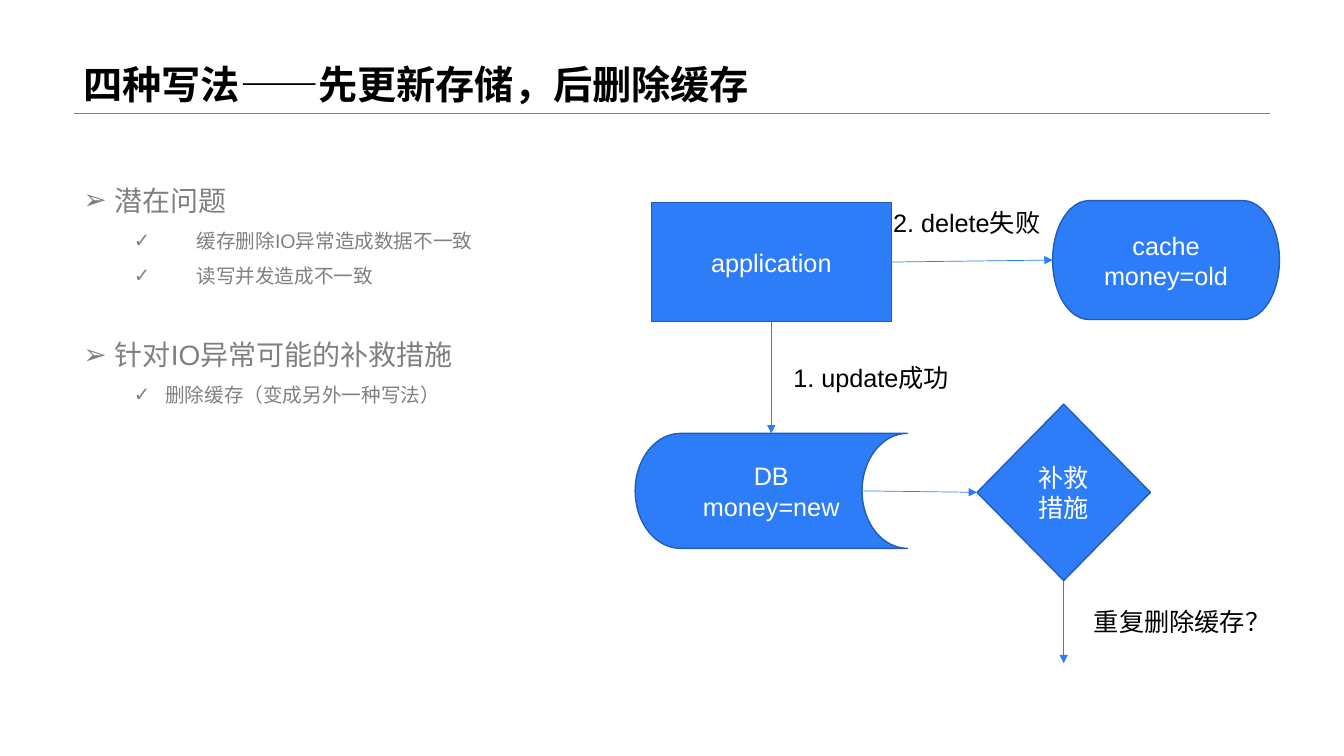
from lxml import etree
from pptx import Presentation
from pptx.dml.color import RGBColor
from pptx.enum import shapes, text
from pptx.oxml.ns import qn
from pptx.util import Inches, Pt

THEME = {
    "font": "Arial",
    "blue": "2D7DF9", "edge": "215CB8", "grey": "808080",
    "black": "000000", "white": "FFFFFF",
    "title": 28, "heading": 20, "body": 18, "detail": 14,
}

TITLE = "四种写法——先更新存储，后删除缓存"

# text, type size, bullet, left margin, hanging indent, space before (pt)
NOTES = [
    ("潜在问题", "heading", "➢", 0.31, 0.31, 0),
    ("缓存删除IO异常造成数据不一致", "detail", "✓", 1.12, 0.62, 0),
    ("读写并发造成不一致", "detail", "✓", 1.12, 0.62, 0),
    ("针对IO异常可能的补救措施", "heading", "➢", 0.31, 0.31, 24),
    ("删除缓存（变成另外一种写法）", "detail", "✓", 0.81, 0.31, 0),
]

KIND = shapes.MSO_SHAPE
NODES = {
    "application": (KIND.RECTANGLE, (6.46, 2.01, 2.38, 1.18), "application"),
    "db": (KIND.FLOWCHART_STORED_DATA, (6.3, 4.3, 2.7, 1.14), "DB\nmoney=new"),
    "cache": (KIND.FLOWCHART_TERMINATOR, (10.44, 1.99, 2.25, 1.18), "cache\nmoney=old"),
    "remedy": (KIND.FLOWCHART_DECISION, (9.69, 4.01, 1.72, 1.75), "补救措施"),
}
NODES["db"] = (KIND.FLOWCHART_ONLINE_STORAGE if hasattr(KIND, "FLOWCHART_ONLINE_STORAGE")
               else KIND.FLOWCHART_STORED_DATA,) + NODES["db"][1:]

TOP, LEFT, BOTTOM, RIGHT = range(4)
# each end is (node, side) or a free point (x, y)
ARROWS = [
    (("application", RIGHT), ("cache", LEFT)),
    (("application", BOTTOM), ("db", TOP)),
    ((8.55, 4.87), ("remedy", LEFT)),
    (("remedy", BOTTOM), (10.55, 6.58)),
]

LABELS = [
    ("2. delete失败", (8.76, 2.01, 1.66, 0.4)),
    ("1. update成功", (7.77, 3.55, 1.74, 0.4)),
    ("重复删除缓存？", (10.75, 5.97, 1.95, 0.4)),
]


def color(name):
    return RGBColor.from_string(THEME[name])


def style(p, size, ink, bold=False):
    for r in p.runs:
        r.font.name = THEME["font"]
        r.font.size = Pt(THEME[size])
        r.font.bold = bold
        r.font.color.rgb = color(ink)


def add_text(slide, box, content, size, ink, bold=False):
    tf = slide.shapes.add_textbox(*map(Inches, box)).text_frame
    tf.word_wrap = True
    tf.text = content
    style(tf.paragraphs[0], size, ink, bold)
    return tf


def add_node(slide, kind, box, content):
    sp = slide.shapes.add_shape(kind, *map(Inches, box))
    sp.shadow.inherit = False
    sp.fill.solid()
    sp.fill.fore_color.rgb = color("blue")
    sp.line.color.rgb = color("edge")
    sp.line.width = Pt(1)
    tf = sp.text_frame
    tf.word_wrap = True
    tf.vertical_anchor = text.MSO_ANCHOR.MIDDLE
    tf.text = content
    for p in tf.paragraphs:
        p.alignment = text.PP_ALIGN.CENTER
        style(p, "body", "white")
    return sp


def add_line(slide, start, end, ink, width):
    line = slide.shapes.add_connector(
        shapes.MSO_CONNECTOR.STRAIGHT, *map(Inches, (*start, *end)))
    line.line.color.rgb = color(ink)
    line.line.width = Pt(width)
    etree.SubElement(line._element.spPr, qn("a:effectLst"))
    return line


def add_arrow(slide, nodes, start, end):
    points = [(0, 0) if e[0] in nodes else e for e in (start, end)]
    arrow = add_line(slide, *points, "blue", 0.5)
    if start[0] in nodes:
        arrow.begin_connect(nodes[start[0]], start[1])
    if end[0] in nodes:
        arrow.end_connect(nodes[end[0]], end[1])
    etree.SubElement(arrow.line._get_or_add_ln(), qn("a:tailEnd"), type="triangle")


def add_bullet(p, mark, margin, hang):
    pPr = p._p.get_or_add_pPr()
    pPr.set("marL", str(Inches(margin)))
    pPr.set("indent", str(-Inches(hang)))
    etree.SubElement(pPr, qn("a:buFont"), typeface=THEME["font"])
    etree.SubElement(pPr, qn("a:buChar"), char=mark)


def add_notes(slide, box):
    tf = slide.shapes.add_textbox(*map(Inches, box)).text_frame
    tf.word_wrap = True
    tf.margin_top = 0
    tf.text = "\n".join(note[0] for note in NOTES)
    for p, (_, size, mark, margin, hang, before) in zip(tf.paragraphs, NOTES):
        add_bullet(p, mark, margin, hang)
        p.line_spacing = 1.5
        if before:
            p.space_before = Pt(before)
        p.level = 1 if size == "detail" else 0
        style(p, size, "grey")


def main():
    prs = Presentation()
    prs.slide_width, prs.slide_height = Inches(13.33), Inches(7.5)
    slide = prs.slides.add_slide(prs.slide_layouts[6])

    add_line(slide, (0.73, 1.12), (12.6, 1.12), "grey", 0.25)
    title = add_text(slide, (0.73, 0, 11.87, 1.12), TITLE, "title", "black", True)
    title.vertical_anchor = text.MSO_ANCHOR.BOTTOM
    title.paragraphs[0].line_spacing = 0.9

    nodes = {name: add_node(slide, *node) for name, node in NODES.items()}
    for start, end in ARROWS:
        add_arrow(slide, nodes, start, end)
    for content, box in LABELS:
        add_text(slide, box, content, "body", "black")
    add_notes(slide, (0.73, 1.65, 5.37, 4.41))
    prs.save("out.pptx")


if __name__ == "__main__":
    main()
